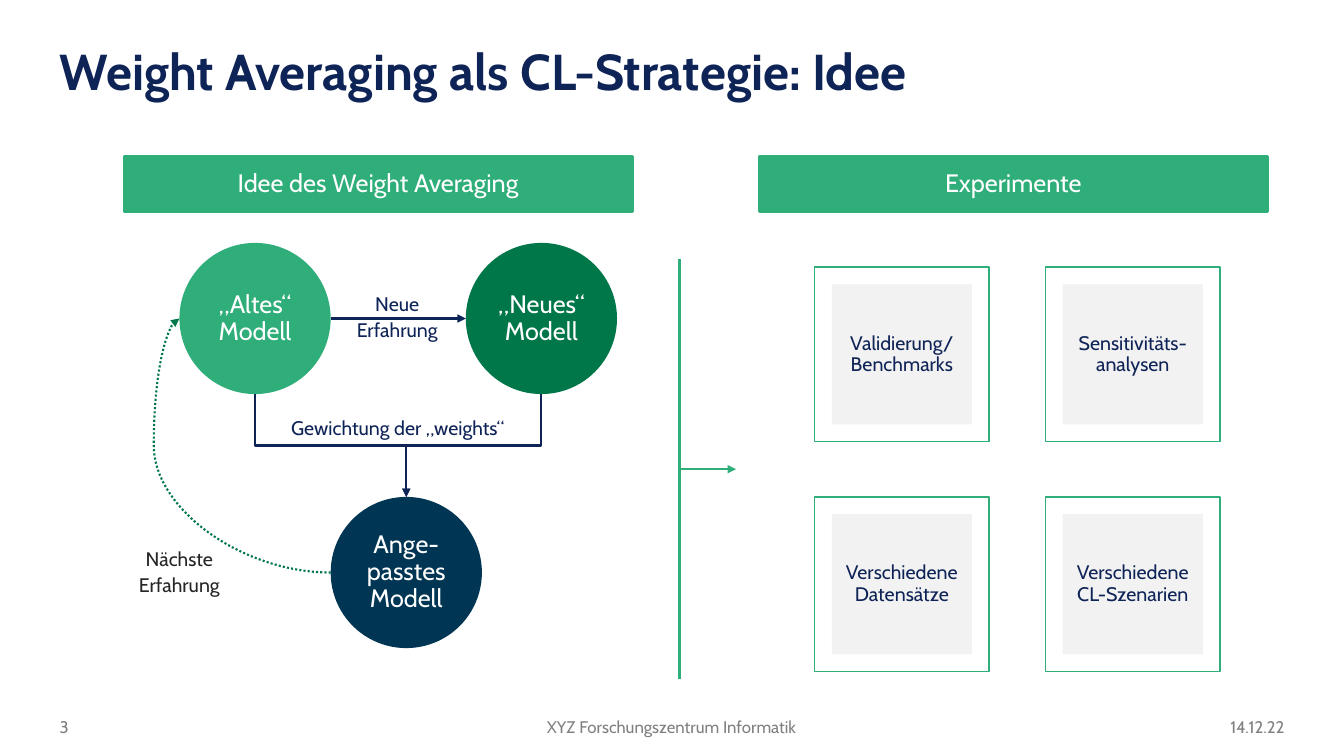
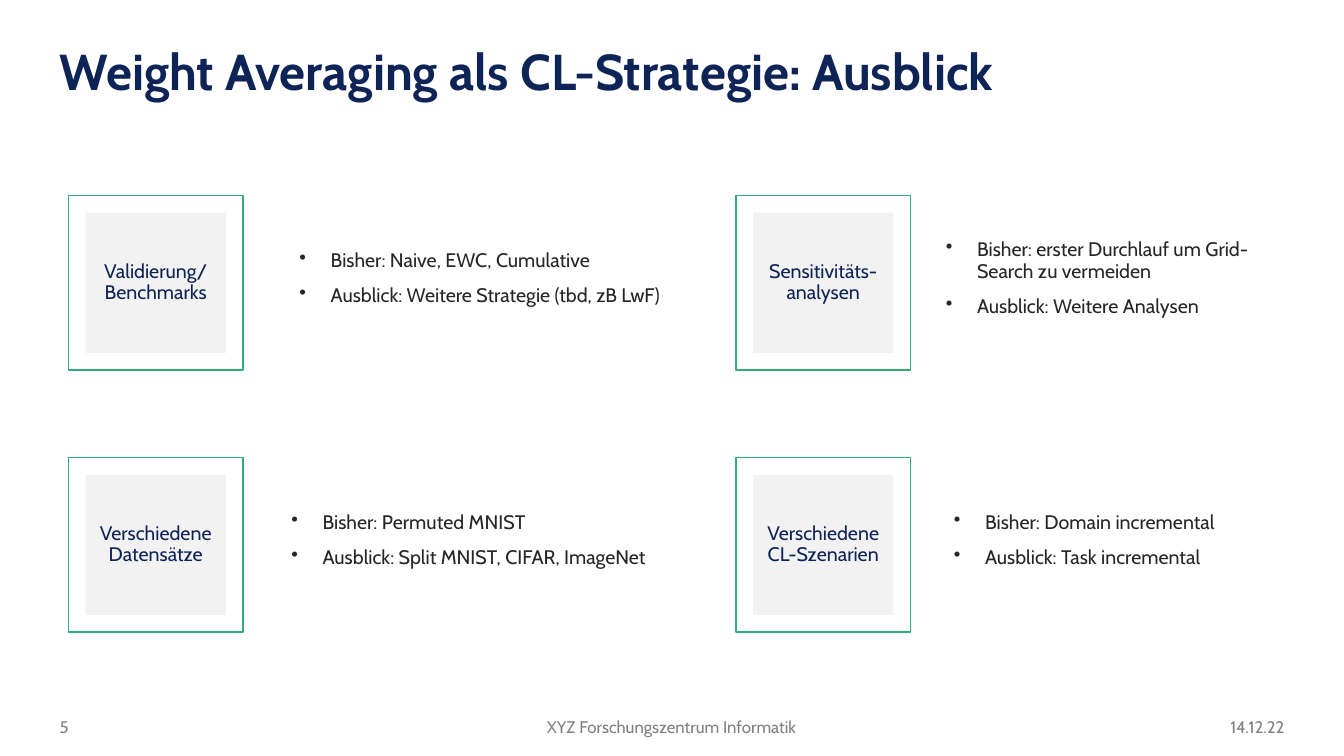
"""Build two slides on weight averaging as a continual learning strategy."""
import dataclasses

import lxml.etree
import pptx
import pptx.dml.color
import pptx.enum.dml
import pptx.enum.shapes
import pptx.enum.text
import pptx.oxml.ns
import pptx.util

Inches = pptx.util.Inches
Pt = pptx.util.Pt
SHAPE = pptx.enum.shapes.MSO_SHAPE
LINE = pptx.enum.shapes.MSO_CONNECTOR
ALIGN = pptx.enum.text.PP_ALIGN
ANCHOR = pptx.enum.text.MSO_ANCHOR
qn = pptx.oxml.ns.qn


@dataclasses.dataclass(frozen=True)
class Theme:
    """Colours, font and type sizes of the deck."""
    font: str = "Cabin"
    navy: str = "0E2356"
    green: str = "2FAE7A"
    dark_green: str = "007749"
    petrol: str = "003554"
    pale: str = "F2F2F2"
    ink: str = "262626"
    grey: str = "808080"
    white: str = "FFFFFF"
    title: int = 36
    head: int = 18
    body: int = 14
    footer: int = 12


T = Theme()
INSET = 0.04
INDENT = 0.31
CIRCLE = 1.5
TILE = 1.73
TILE_PAD = 0.17
TOPICS = ["Validierung/ Benchmarks", "Sensitivitäts-analysen",
          "Verschiedene Datensätze", "Verschiedene CL-Szenarien"]
OUTLOOK = [
    (2.25, 3.94, ["Bisher: Naive, EWC, Cumulative",
                  "Ausblick: Weitere Strategie (tbd, zB LwF)"]),
    (2.04, 3.31, ["Bisher: erster Durchlauf um Grid-Search zu vermeiden",
                  "Ausblick: Weitere Analysen"]),
    (2.17, 3.94, ["Bisher: Permuted MNIST",
                  "Ausblick: Split MNIST, CIFAR, ImageNet"]),
    (2.12, 3.31, ["Bisher: Domain incremental",
                  "Ausblick: Task incremental"]),
]


def rgb(color):
    """Turn a hex string into a colour."""
    return pptx.dml.color.RGBColor.from_string(color)


def write(sp, lines, size, color, align=ALIGN.CENTER, anchor=ANCHOR.MIDDLE,
          inset=0, spacing=0.9, bold=False, bullets=False):
    """Fill a shape with one paragraph for each line."""
    tf = sp.text_frame
    tf.word_wrap = True
    tf.vertical_anchor = anchor
    tf.margin_left = tf.margin_right = Inches(inset)
    tf.margin_top = tf.margin_bottom = Inches(inset)
    for i, line in enumerate(lines):
        p = tf.add_paragraph() if i else tf.paragraphs[0]
        p.alignment = align
        p.line_spacing = spacing
        r = p.add_run()
        r.text = line
        r.font.name = T.font
        r.font.size = Pt(size)
        r.font.bold = bold
        r.font.color.rgb = rgb(color)
        if bullets:
            p.space_after = Pt(10)
            pPr = p._p.get_or_add_pPr()
            pPr.set("marL", str(Inches(INDENT)))
            pPr.set("indent", str(-Inches(INDENT)))
            lxml.etree.SubElement(pPr, qn("a:buChar")).set("char", "•")


def add_text(slide, box, lines, size, color, **style):
    """Add a text box."""
    sp = slide.shapes.add_textbox(*map(Inches, box))
    write(sp, lines, size, color, **style)


def add_shape(shapes, kind, box, fill=None, line=None, width=1):
    """Add a flat shape with an optional fill and outline."""
    sp = shapes.add_shape(kind, *map(Inches, box))
    sp.shadow.inherit = False
    if fill:
        sp.fill.solid()
        sp.fill.fore_color.rgb = rgb(fill)
    else:
        sp.fill.background()
    if line:
        sp.line.color.rgb = rgb(line)
        sp.line.width = Pt(width)
    else:
        sp.line.fill.background()
    return sp


def add_line(slide, kind, begin, end, color, arrow=True, dash=None, turn=0, bend=None):
    """Add a connector, turned by whole degrees about its centre."""
    cxn = slide.shapes.add_connector(kind, *map(Inches, (*begin, *end)))
    cxn.line.color.rgb = rgb(color)
    cxn.line.width = Pt(1.5)
    if dash:
        cxn.line.dash_style = dash
    spPr = cxn._element.spPr
    if arrow:
        tail = lxml.etree.SubElement(cxn.line._get_or_add_ln(), qn("a:tailEnd"))
        tail.set("type", "triangle")
    lxml.etree.SubElement(spPr, qn("a:effectLst"))
    if turn:
        spPr.find(qn("a:xfrm")).set("rot", str(turn * 60000))
    if bend is not None:
        geom = spPr.find(qn("a:prstGeom"))
        guides = geom.find(qn("a:avLst"))
        if guides is None:
            guides = lxml.etree.SubElement(geom, qn("a:avLst"))
        guide = lxml.etree.SubElement(guides, qn("a:gd"))
        guide.set("name", "adj1")
        guide.set("fmla", f"val {round(bend * 100000)}")


def add_drop(slide, begin, end, color):
    """Add an elbow arrow that leaves and arrives vertically."""
    (x1, y1), (x2, y2) = begin, end
    cx, cy = (x1 + x2) / 2, (y1 + y2) / 2
    half_w, half_h = (y2 - y1) / 2, abs(x2 - x1) / 2
    side, turn = (1, 270) if x2 > x1 else (-1, 90)
    add_line(slide, LINE.ELBOW, (cx + side * half_w, cy - half_h),
             (cx - side * half_w, cy + half_h), color, turn=turn)


def add_base(prs, title, number):
    """Add a blank slide with its title and footer."""
    slide = prs.slides.add_slide(prs.slide_layouts[6])
    add_text(slide, (0.59, 0.47, 11.19, 0.59), [title], T.title, T.navy,
             align=ALIGN.LEFT, anchor=ANCHOR.TOP, bold=True)
    for x, w, text, align in [
            (0.59, 0.98, number, ALIGN.LEFT),
            (4.3, 4.72, "XYZ Forschungszentrum Informatik", ALIGN.CENTER),
            (11.17, 1.57, "14.12.22", ALIGN.RIGHT)]:
        add_text(slide, (x, 6.92, w, 0.39), [text], T.footer, T.grey,
                 align=align, anchor=ANCHOR.BOTTOM, spacing=1.0)
    return slide


def add_banner(slide, x, y, text):
    """Add a column heading."""
    sp = add_shape(slide.shapes, SHAPE.RECTANGLE, (x, y, 5.04, 0.55), T.green, T.green, 2)
    write(sp, [text], T.head, T.white, inset=INSET)


def add_tile(slide, x, y, text):
    """Add a framed topic tile as a group."""
    shapes = slide.shapes.add_group_shape().shapes
    add_shape(shapes, SHAPE.RECTANGLE, (x, y, TILE, TILE), line=T.green)
    inner = TILE - 2 * TILE_PAD
    sp = add_shape(shapes, SHAPE.RECTANGLE, (x + TILE_PAD, y + TILE_PAD, inner, inner), T.pale)
    write(sp, [text], T.body, T.navy, inset=INSET)


def tile_grid(x, y, dx, dy):
    """Give each topic the place of its tile, row by row."""
    return [(x + i % 2 * dx, y + i // 2 * dy, topic) for i, topic in enumerate(TOPICS)]


def add_cycle(slide, x, y):
    """Draw the cycle of old, new and adapted model."""
    radius = CIRCLE / 2
    old, new, adapted = (x + 0.55, y), (x + 3.39, y), (x + 2.05, y + 2.52)
    for (left, top), fill, lines, inset in [
            (old, T.green, ["„Altes“ Modell"], INSET),
            (new, T.dark_green, ["„Neues“ Modell"], INSET),
            (adapted, T.petrol, ["Ange-", "passtes", "Modell"], 0)]:
        sp = add_shape(slide.shapes, SHAPE.OVAL, (left, top, CIRCLE, CIRCLE), fill)
        write(sp, lines, T.head, T.white, inset=inset)
    add_line(slide, LINE.STRAIGHT, (old[0] + CIRCLE, y + radius), (new[0], y + radius), T.navy)
    for left, top in (old, new):
        add_drop(slide, (left + radius, top + CIRCLE),
                 (adapted[0] + radius, adapted[1]), T.navy)
    add_line(slide, LINE.CURVE, (old[0], old[1] + radius), (adapted[0], adapted[1] + radius),
             T.dark_green, dash=pptx.enum.dml.MSO_LINE.ROUND_DOT, turn=180, bend=1.17)
    for dx, dy, w, h, lines, color in [
            (1.26, 1.69, 2.91, 0.31, ["Gewichtung der „weights“"], T.navy),
            (2.14, 0.46, 1.14, 0.52, ["Neue", "Erfahrung"], T.navy),
            (0, 2.99, 1.1, 0.47, ["Nächste Erfahrung"], T.ink)]:
        add_text(slide, (x + dx, y + dy, w, h), lines, T.body, color,
                 anchor=ANCHOR.TOP, spacing=1.1)


def add_divider(slide, x, y, h):
    """Draw the vertical rule with an arrow to the right."""
    add_line(slide, LINE.STRAIGHT, (x, y + h), (x, y), T.green, arrow=False)
    add_line(slide, LINE.STRAIGHT, (x, y + h / 2), (x + 0.56, y + h / 2), T.green)


def build_idea(prs):
    """Build the slide on the idea and the experiments."""
    slide = add_base(prs, "Weight Averaging als CL-Strategie: Idee", "3")
    add_banner(slide, 1.23, 1.55, "Idee des Weight Averaging")
    add_banner(slide, 7.53, 1.55, "Experimente")
    add_cycle(slide, 1.23, 2.41)
    add_divider(slide, 6.74, 2.57, 4.17)
    for x, y, topic in tile_grid(8.08, 2.65, 2.29, 2.28):
        add_tile(slide, x, y, topic)


def build_outlook(prs):
    """Build the slide on the outlook for each topic."""
    slide = add_base(prs, "Weight Averaging als CL-Strategie: Ausblick", "5")
    for (x, y, topic), (dx, w, lines) in zip(tile_grid(0.68, 1.94, 6.62, 2.6), OUTLOOK):
        add_tile(slide, x, y, topic)
        add_text(slide, (x + dx, y, w, 1.65), lines, T.body, T.ink,
                 align=ALIGN.LEFT, inset=INSET, bullets=True)


def main():
    """Build and save the deck."""
    prs = pptx.Presentation()
    prs.slide_width = Inches(13.33)
    prs.slide_height = Inches(7.5)
    build_idea(prs)
    build_outlook(prs)
    prs.save("out.pptx")


if __name__ == "__main__":
    main()
